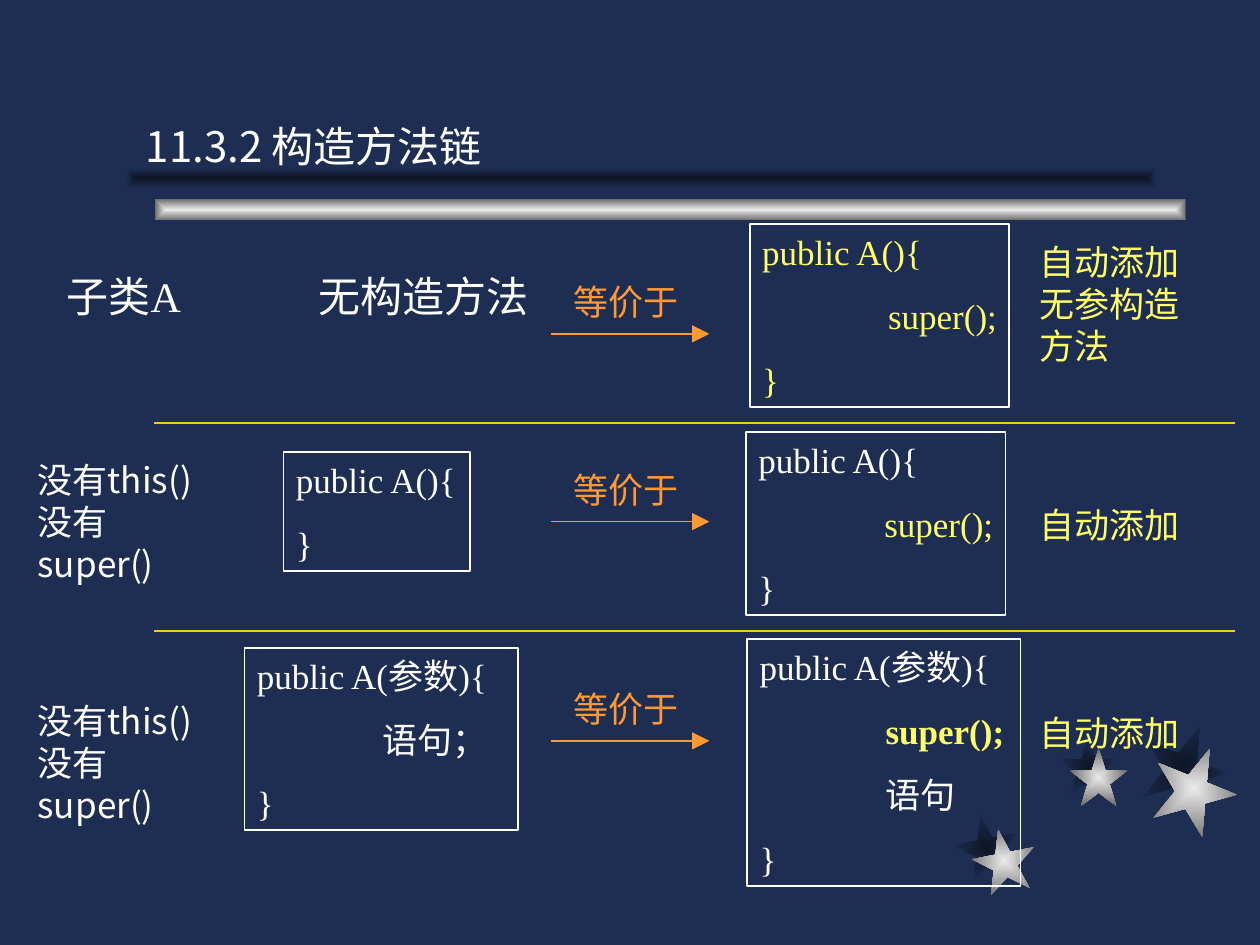
from lxml import etree
from pptx import Presentation
from pptx.dml.color import RGBColor
from pptx.enum.shapes import MSO_CONNECTOR, MSO_SHAPE
from pptx.enum.text import MSO_ANCHOR, PP_ALIGN
from pptx.oxml import parse_xml
from pptx.oxml.ns import nsdecls, qn
from pptx.util import Inches, Pt

RECTANGLE, STAR = MSO_SHAPE.RECTANGLE, MSO_SHAPE.STAR_5_POINT
STRAIGHT = MSO_CONNECTOR.STRAIGHT
MIDDLE, LEFT = MSO_ANCHOR.MIDDLE, PP_ALIGN.LEFT
NAVY, WHITE, YELLOW, ORANGE, GOLD = "1E2E53", "FFFFFF", "FFFF66", "FF9933", "FFCC00"
SILVER_FADE, SHADOW_FADE = ("EAEAEA", "6C6C6C"), ("0E1526", NAVY)
SERIF, SANS = "Times New Roman", "Noto Sans CJK SC"


def color(value):
    return RGBColor.from_string(value)


def write(shape, lines, font=SERIF, size=20, wrap=True):
    """Fill a shape with (text, colour, bold) lines, with a tab stop at every inch."""
    frame = shape.text_frame
    frame.word_wrap = wrap
    for index, (text, hue, bold) in enumerate(lines):
        para = frame.paragraphs[0] if index == 0 else frame.add_paragraph()
        para.text = text
        para.alignment = LEFT
        if index:
            para.space_before = Pt(12.5)
        tabs = etree.SubElement(para._p.get_or_add_pPr(), qn("a:tabLst"))
        for inch in range(8):
            etree.SubElement(tabs, qn("a:tab"), pos=str(Inches(inch)), algn="l")
        para.font.name = font
        para.font.size = Pt(size)
        para.font.bold = bold
        para.font.color.rgb = color(hue)


deck = Presentation()
deck.slide_width, deck.slide_height = Inches(10), Inches(7.5)
page = deck.slides.add_slide(deck.slide_layouts[6])
page.background.fill.solid()
page.background.fill.fore_color.rgb = color(NAVY)

# Stars and title bars, fading from the centre outwards
ornaments = [
    (STAR, 7.58, 6.47, 0.5, 0.5, 349, SHADOW_FADE),
    (STAR, 8.41, 5.85, 0.46, 0.46, 0, SHADOW_FADE),
    (STAR, 9.06, 5.75, 0.67, 0.67, 22, SHADOW_FADE),
    (STAR, 7.72, 6.58, 0.5, 0.5, 349, SILVER_FADE),
    (STAR, 8.49, 5.94, 0.46, 0.46, 0, SILVER_FADE),
    (STAR, 9.14, 5.92, 0.67, 0.67, 22, SILVER_FADE),
    (RECTANGLE, 1.23, 1.58, 8.18, 0.17, 0, SILVER_FADE),
    (RECTANGLE, 1, 1.33, 8.18, 0.17, 0, SHADOW_FADE),
]
for kind, left, top, width, height, angle, (inner, outer) in ornaments:
    ornament = page.shapes.add_shape(
        kind, Inches(left), Inches(top), Inches(width), Inches(height))
    ornament.rotation = angle
    ornament.shadow.inherit = False
    ornament.line.fill.background()
    ornament._element.spPr.find(qn("a:prstGeom")).addnext(parse_xml(
        f'<a:gradFill {nsdecls("a")} rotWithShape="1"><a:gsLst>'
        f'<a:gs pos="0"><a:srgbClr val="{inner}"/></a:gs>'
        f'<a:gs pos="100000"><a:srgbClr val="{outer}"/></a:gs></a:gsLst>'
        '<a:path path="rect"><a:fillToRect l="50000" t="50000" r="50000" b="50000"/>'
        '</a:path></a:gradFill>'))

# Constructor code boxes
opening, opening_args, closing = [
    (text, WHITE, False) for text in ("public A(){", "public A(参数){", "}")]
super_call = ("\tsuper();", YELLOW, False)
code_boxes = [
    (5.95, 1.78, 2.06, 1.45,
     [("public A(){", YELLOW, False), super_call, ("}", YELLOW, False)]),
    (2.25, 3.59, 1.48, 0.94, [opening, closing]),
    (5.92, 3.43, 2.06, 1.45, [opening, super_call, closing]),
    (5.93, 5.07, 2.17, 1.96,
     [opening_args, ("\tsuper();", YELLOW, True), ("\t语句", WHITE, False), closing]),
    (1.94, 5.14, 2.17, 1.45, [opening_args, ("\t语句；", WHITE, False), closing]),
]
for left, top, width, height, lines in code_boxes:
    code_box = page.shapes.add_shape(
        RECTANGLE, Inches(left), Inches(top), Inches(width), Inches(height))
    code_box.shadow.inherit = False
    code_box.fill.background()
    code_box.line.color.rgb = color(WHITE)
    code_box.line.width = Pt(1)
    code_box.text_frame.vertical_anchor = MIDDLE
    write(code_box, lines, wrap=False)

# Title, conditions, notes and arrow labels
condition = "没有this()没有super()"
labels = [
    (1.06, 0.91, 4.8, 0.5, "11.3.2 构造方法链", SANS, 24, WHITE),
    (0.43, 2.1, 4.33, 0.5, "子类A\t\t无构造方法", SERIF, 24, WHITE),
    (0.2, 3.59, 1.65, 1.1, condition, SANS, 20, WHITE),
    (0.2, 5.5, 1.65, 1.1, condition, SANS, 20, WHITE),
    (8.15, 1.86, 1.53, 1.1, "自动添加无参构造方法", SERIF, 20, YELLOW),
    (8.15, 3.95, 1.53, 0.44, "自动添加", SERIF, 20, YELLOW),
    (8.15, 5.6, 1.53, 0.44, "自动添加", SERIF, 20, YELLOW),
]
arrow_heights = (2.65, 4.14, 5.88)
for y in arrow_heights:
    labels.append((4.45, y - 0.47, 1.08, 0.44, "等价于", SERIF, 20, ORANGE))
for left, top, width, height, text, font, size, hue in labels:
    label = page.shapes.add_textbox(
        Inches(left), Inches(top), Inches(width), Inches(height))
    write(label, [(text, hue, False)], font, size)

# Row dividers and arrows
rules = [(1.22, 9.8, y, GOLD) for y in (3.36, 5.01)]
rules += [(4.37, 5.63, y, ORANGE) for y in arrow_heights]
for start, end, y, hue in rules:
    rule = page.shapes.add_connector(
        STRAIGHT, Inches(start), Inches(y), Inches(end), Inches(y))
    rule.line.color.rgb = color(hue)
    rule.line.width = Pt(1)
    if hue == ORANGE:
        etree.SubElement(rule.line._get_or_add_ln(), qn("a:tailEnd"),
                         type="triangle", w="lg", len="lg")
    etree.SubElement(rule._element.spPr, qn("a:effectLst"))

deck.save("out.pptx")
